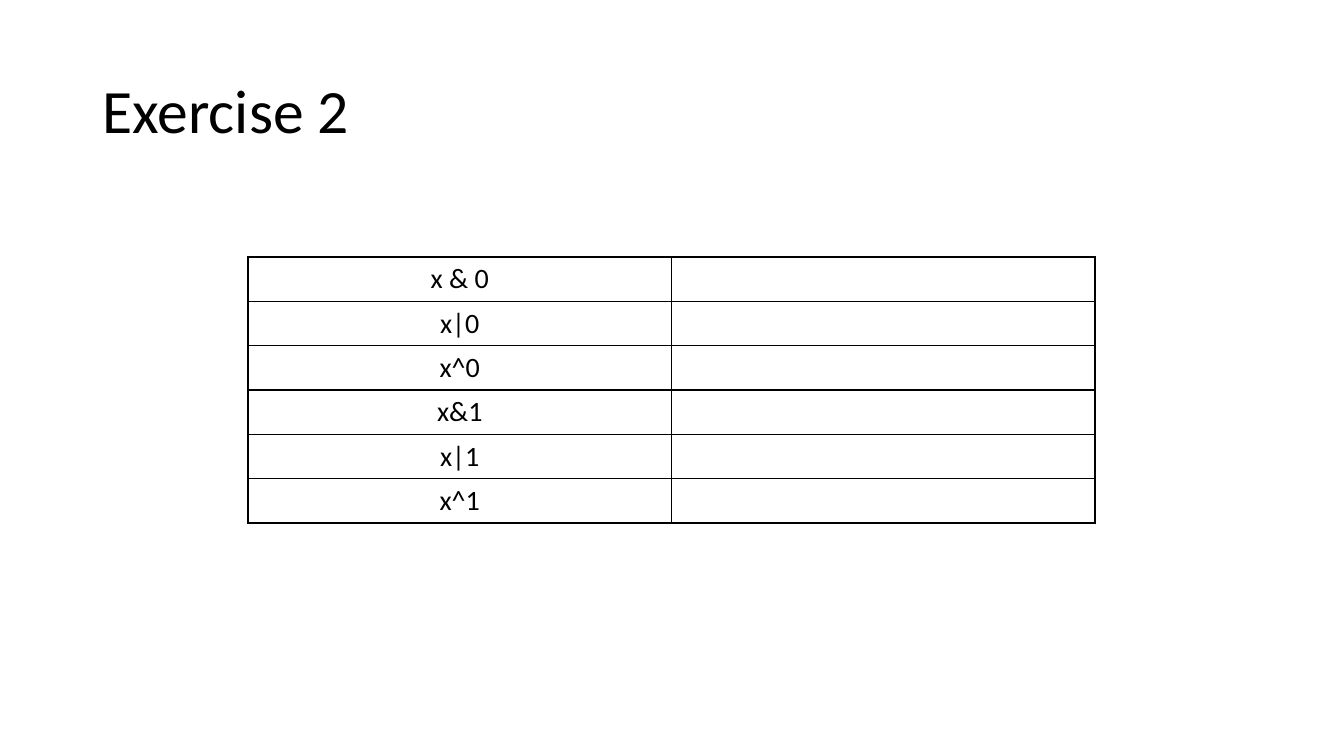
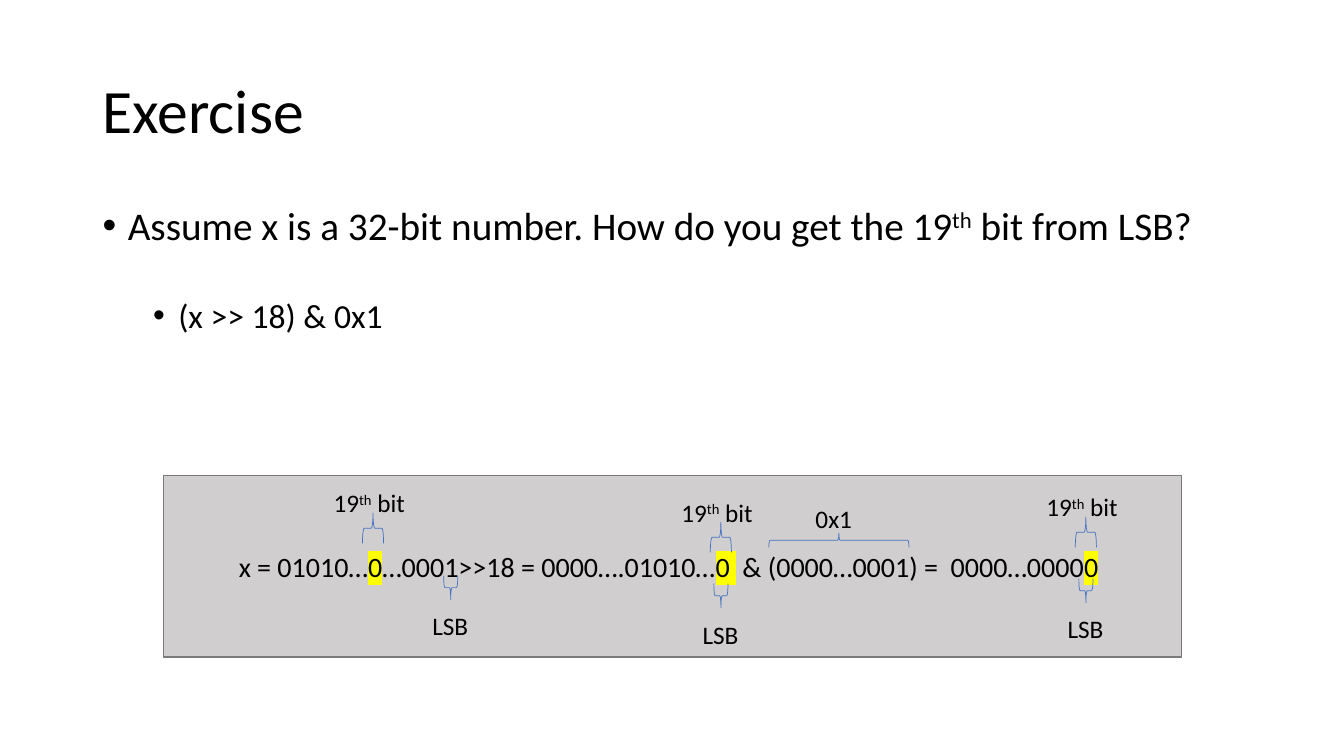
from dataclasses import dataclass

from lxml import etree
from pptx import Presentation
from pptx.dml.color import RGBColor
from pptx.enum import shapes, text
from pptx.oxml import ns
from pptx.util import Inches, Pt


@dataclass(frozen=True)
class Theme:
    font: str = "Calibri"
    ink: str = "000000"
    panel: str = "D0CECE"
    edge: str = "7A7A7A"
    brace: str = "4472C4"
    mark: str = "FFFF00"
    title: int = 44
    body: int = 28
    sub: int = 24
    code: int = 20
    label: int = 18


T = Theme()
SUP, HIGH = "sup", "high"
NTH = [("19", None), ("th", SUP), (" bit", None)]


def rgb(code):
    return RGBColor.from_string(code)


def node(parent, tag, **attrs):
    return etree.SubElement(parent, ns.qn(tag), attrs)


def write(para, parts, size):
    """Fill a paragraph with (text, style) parts; a plain string is one part."""
    if isinstance(parts, str):
        parts = [(parts, None)]
    for words, style in parts:
        run = para.add_run()
        run.text = words
        run.font.name = T.font
        run.font.size = Pt(size)
        run.font.color.rgb = rgb(T.ink)
        props = run.font._element
        if style == SUP:
            props.set("baseline", "30000")
        elif style == HIGH:
            high = etree.Element(ns.qn("a:highlight"))
            node(high, "a:srgbClr", val=T.mark)
            props.find(ns.qn("a:solidFill")).addnext(high)


def indent(para, left, hang=0):
    props = para._p.get_or_add_pPr()
    props.set("marL", str(Inches(left)))
    props.set("indent", str(Inches(-hang)))
    return props


def bullet(para, left):
    props = indent(para, left, 0.25)
    node(props, "a:buFont", typeface="Arial")
    node(props, "a:buChar", char="•")


def frame(parent, box, wrap=True):
    area = parent.shapes.add_textbox(*map(Inches, box)).text_frame
    area.word_wrap = wrap
    return area


def page(deck, name):
    """Add a blank slide with the shared title style."""
    slide = deck.slides.add_slide(deck.slide_layouts[6])
    area = frame(slide, (0.92, 0.4, 11.5, 1.45))
    area.vertical_anchor = text.MSO_ANCHOR.MIDDLE
    para = area.paragraphs[0]
    para.line_spacing = 0.9
    write(para, name, T.title)
    return slide


def border(cell):
    props = cell._tc.get_or_add_tcPr()
    for side in ("a:lnL", "a:lnR", "a:lnT", "a:lnB"):
        line = node(props, side, w=str(Pt(1)))
        node(node(line, "a:solidFill"), "a:srgbClr", val=T.ink)


def grid(slide, box, rows):
    """Draw expressions on the left and empty answer cells on the right."""
    table = slide.shapes.add_table(len(rows), 2, *map(Inches, box)).table
    table.first_row = table.horz_banding = False
    for cells, words in zip(table.rows, rows):
        for cell in cells.cells:
            border(cell)
            cell.fill.background()
        para = cells.cells[0].text_frame.paragraphs[0]
        para.alignment = text.PP_ALIGN.CENTER
        write(para, words, T.code)


def points(slide, box, items):
    area = frame(slide, box)
    for row, (parts, size, left, gap) in enumerate(items):
        para = area.add_paragraph() if row else area.paragraphs[0]
        para.line_spacing = 0.9
        para.space_before = Pt(gap)
        bullet(para, left)
        write(para, parts, size)


def mark(slide, mid, parts, width, span, depth, rise):
    """Centre a brace on mid, with its label top at the distance rise."""
    x, y = mid
    group = slide.shapes.add_group_shape()
    brace = group.shapes.add_shape(
        shapes.MSO_SHAPE.RIGHT_BRACE,
        *map(Inches, (x - depth / 2, y - span / 2, depth, span)))
    brace.rotation = 270 if rise < 0 else 90
    brace.shadow.inherit = False
    brace.fill.background()
    brace.line.color.rgb = rgb(T.brace)
    brace.line.width = Pt(0.5)
    area = frame(group, (x - width / 2, y + rise, width, 0.4), False)
    write(area.paragraphs[0], parts, T.label)


def shift(slide, box):
    """Draw the panel with the worked bit shift."""
    x, y, wide, high = box
    panel = slide.shapes.add_shape(shapes.MSO_SHAPE.RECTANGLE, *map(Inches, box))
    panel.shadow.inherit = False
    panel.fill.solid()
    panel.fill.fore_color.rgb = rgb(T.panel)
    panel.line.color.rgb = rgb(T.edge)
    panel.line.width = Pt(1)

    para = frame(slide, (x, y + 0.68, wide, 0.44)).paragraphs[0]
    indent(para, 0.65)
    write(para, [("x = 01010…", None), ("0", HIGH),
                 ("…0001>>18 = 0000….01010…", None), ("0 ", HIGH),
                 (" & (0000…0001) =  0000…0000", None), ("0", HIGH)], T.code)

    for dx, dy in ((2.08, 0.52), (5.53, 0.61), (9.15, 0.56)):
        mark(slide, (x + dx, y + dy), NTH, 0.98, 0.21, 0.3, -0.45)
    for dx, dy in ((2.85, 1.11), (5.53, 1.19), (9.15, 1.14)):
        mark(slide, (x + dx, y + dy), "LSB", 0.56, 0.14, 0.24, 0.18)
    mark(slide, (x + 6.7, y + 0.64), "0x1", 0.66, 1.39, 0.14, -0.42)


def main():
    deck = Presentation()
    deck.slide_width, deck.slide_height = Inches(13.33), Inches(7.5)

    slide = page(deck, "Exercise 2")
    grid(slide, (2.46, 2.55, 8.4, 2.64),
         ["x & 0", "x|0", "x^0", "x&1", "x|1", "x^1"])

    slide = page(deck, "Exercise")
    ask = [("Assume x is a 32-bit number. How do you get the 19", None),
           ("th", SUP), (" bit from LSB?", None)]
    points(slide, (0.92, 2, 11.5, 1.67),
           [(ask, T.body, 0.25, 10), ("(x >> 18) & 0x1", T.sub, 0.75, 36)])
    shift(slide, (1.62, 4.72, 10.1, 1.8))

    deck.save("out.pptx")


if __name__ == "__main__":
    main()
